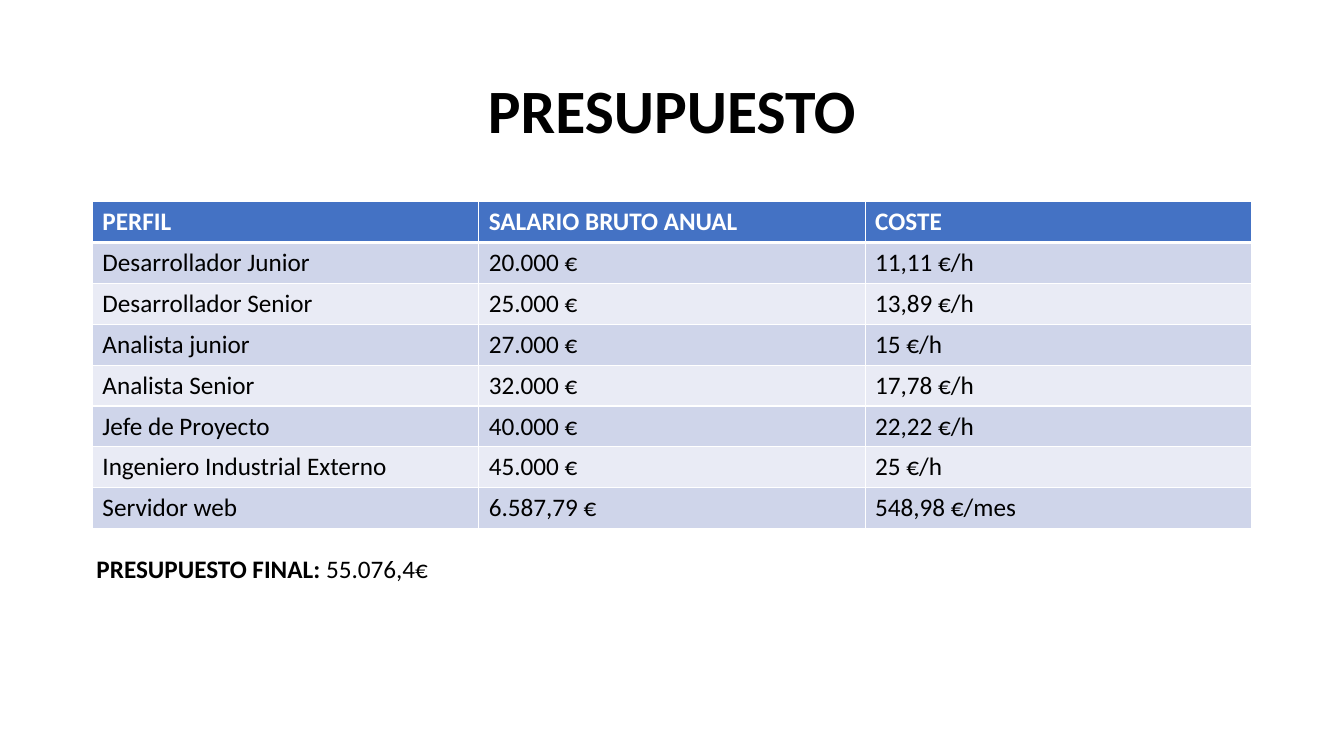
from lxml import etree
from pptx import Presentation
from pptx.dml.color import RGBColor
from pptx.enum.text import MSO_ANCHOR, MSO_AUTO_SIZE, PP_ALIGN
from pptx.oxml.ns import qn
from pptx.util import Pt

CENTER = PP_ALIGN.CENTER
LEFT = PP_ALIGN.LEFT
MIDDLE = MSO_ANCHOR.MIDDLE
GROW = MSO_AUTO_SIZE.SHAPE_TO_FIT_TEXT

BLACK = RGBColor(0x00, 0x00, 0x00)
WHITE = RGBColor(0xFF, 0xFF, 0xFF)
HEADER_BLUE = RGBColor(0x44, 0x72, 0xC4)
BAND_DARK = RGBColor(0xCF, 0xD5, 0xEA)
BAND_LIGHT = RGBColor(0xE9, 0xEB, 0xF5)

FONT = "Calibri"
TITLE_ONLY = 5
BODY_SIZE = 18
THIN, THICK = 1, 3

COSTS = [
    ("PERFIL", "SALARIO BRUTO ANUAL", "COSTE"),
    ("Desarrollador Junior", "20.000 €", "11,11 €/h"),
    ("Desarrollador Senior", "25.000 €", "13,89 €/h"),
    ("Analista junior", "27.000 €", "15 €/h"),
    ("Analista Senior", "32.000 €", "17,78 €/h"),
    ("Jefe de Proyecto", "40.000 €", "22,22 €/h"),
    ("Ingeniero Industrial Externo", "45.000 €", "25 €/h"),
    ("Servidor web", "6.587,79 €", "548,98 €/mes"),
]


def add_run(paragraph, text, size, color, bold):
    run = paragraph.add_run()
    run.text = text
    run.font.name = FONT
    run.font.size = Pt(size)
    run.font.bold = bold
    run.font.color.rgb = color


def set_borders(cell, top, bottom):
    properties = cell._tc.get_or_add_tcPr()
    for side, width in (("L", THIN), ("R", THIN), ("T", top), ("B", bottom)):
        line = etree.SubElement(properties, qn(f"a:ln{side}"), w=str(Pt(width)))
        fill = etree.SubElement(line, qn("a:solidFill"))
        etree.SubElement(fill, qn("a:srgbClr"), val=str(WHITE))


def place_title(slide, left, top, width, height):
    title = slide.shapes.title
    title.left, title.top = Pt(left), Pt(top)
    title.width, title.height = Pt(width), Pt(height)
    title.text_frame.vertical_anchor = MIDDLE
    heading = title.text_frame.paragraphs[0]
    heading.alignment = CENTER
    heading.line_spacing = 0.9
    add_run(heading, "PRESUPUESTO", 44, BLACK, True)


def place_costs(slide, left, top, width, height):
    costs = slide.shapes.add_table(
        len(COSTS), len(COSTS[0]), Pt(left), Pt(top), Pt(width), Pt(height)
    ).table
    for row, entries in enumerate(COSTS):
        is_header = row == 0
        band = HEADER_BLUE if is_header else BAND_DARK if row % 2 else BAND_LIGHT
        for column, entry in enumerate(entries):
            cell = costs.cell(row, column)
            set_borders(cell, THICK if row == 1 else THIN, THICK if is_header else THIN)
            cell.fill.solid()
            cell.fill.fore_color.rgb = band
            add_run(cell.text_frame.paragraphs[0], entry, BODY_SIZE,
                    WHITE if is_header else BLACK, is_header)


def place_total(slide, left, top, width, height):
    total = slide.shapes.add_textbox(Pt(left), Pt(top), Pt(width), Pt(height)).text_frame
    total.word_wrap = True
    total.auto_size = GROW
    amount = total.paragraphs[0]
    amount.alignment = LEFT
    add_run(amount, "PRESUPUESTO FINAL:", BODY_SIZE, BLACK, True)
    add_run(amount, " 55.076,4€", BODY_SIZE, BLACK, False)


def main():
    deck = Presentation()
    deck.slide_width, deck.slide_height = Pt(960), Pt(540)
    slide = deck.slides.add_slide(deck.slide_layouts[TITLE_ONLY])
    place_title(slide, 66, 28.75, 828, 104.4)
    place_costs(slide, 66, 144, 828, 233.6)
    place_total(slide, 61.8, 392, 253, 29)
    deck.save("out.pptx")


if __name__ == "__main__":
    main()
